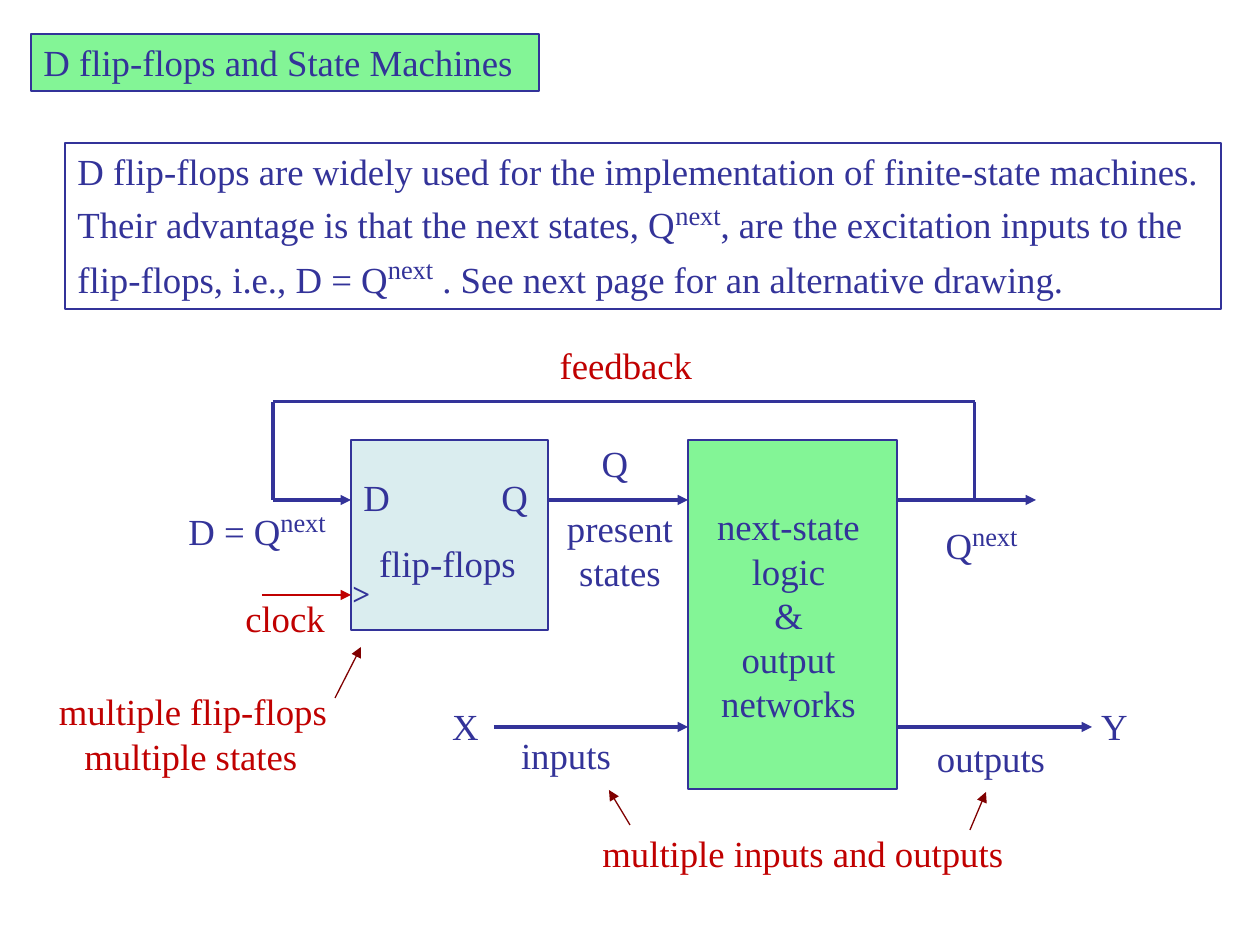
"""Builds the slide on D flip-flops and state machines."""
from lxml import etree
from pptx import Presentation
from pptx import util as u
from pptx.dml.color import RGBColor
from pptx.enum import shapes, text
from pptx.oxml.ns import qn

NAVY = RGBColor(0x33, 0x33, 0x99)
RED = RGBColor(0xC0, 0x00, 0x00)
MAROON = RGBColor(0x80, 0x00, 0x00)
GREEN = RGBColor(0x83, 0xF5, 0x96)
PALE_BLUE = RGBColor(0xDA, 0xED, 0xEF)
LEFT, CENTER = text.PP_ALIGN.LEFT, text.PP_ALIGN.CENTER


def px(value):
    return round(value * 914400 / 126)


class Diagram:
    font_name = "Times New Roman"
    size = u.Pt(21)
    superscript_size = u.Pt(26)
    thin, thick = u.Pt(0.75), u.Pt(1.75)

    def __init__(self, slide):
        self.slide = slide

    def box(self, left, top, width, height, fill=None):
        shape = self.slide.shapes.add_shape(
            shapes.MSO_SHAPE.RECTANGLE, px(left), px(top), px(width), px(height))
        shape.shadow.inherit = False
        if fill is None:
            shape.fill.background()
        else:
            shape.fill.solid()
            shape.fill.fore_color.rgb = fill
        shape.line.color.rgb = NAVY
        shape.line.width = self.thin
        return shape

    def label(self, wording, left, top, width, height, color=NAVY):
        shape = self.slide.shapes.add_textbox(px(left), px(top), px(width), px(height))
        self.fill_text(shape, wording, color)
        return shape

    def fill_text(self, shape, wording, color=NAVY, align=CENTER):
        frame = shape.text_frame
        frame.word_wrap = True
        frame.auto_size = text.MSO_AUTO_SIZE.SHAPE_TO_FIT_TEXT
        frame.vertical_anchor = text.MSO_ANCHOR.TOP
        for index, line in enumerate(wording.split("\n")):
            paragraph = frame.add_paragraph() if index else frame.paragraphs[0]
            paragraph.alignment = align
            for part, words in enumerate(line.split("^")):
                if not words:
                    continue
                run = paragraph.add_run()
                run.text = words
                if part % 2:
                    run.font.size = self.superscript_size
                    run._r.get_or_add_rPr().set("baseline", "30000")
            paragraph.font.name = self.font_name
            paragraph.font.size = self.size
            paragraph.font.color.rgb = color

    def tab_stop(self, paragraph, position):
        properties = paragraph._p.get_or_add_pPr()
        tabs = etree.Element(qn("a:tabLst"))
        etree.SubElement(tabs, qn("a:tab"), pos=str(px(position)), algn="l")
        properties.insert(0, tabs)

    def line(self, x1, y1, x2, y2, color=NAVY, width=thin, arrow=True):
        connector = self.slide.shapes.add_connector(
            shapes.MSO_CONNECTOR.STRAIGHT, px(x1), px(y1), px(x2), px(y2))
        connector.line.color.rgb = color
        connector.line.width = width
        properties = connector._element.spPr
        if arrow:
            etree.SubElement(properties.get_or_add_ln(), qn("a:tailEnd"), type="triangle")
        etree.SubElement(properties, qn("a:effectLst"))


def main():
    presentation = Presentation()
    presentation.slide_width, presentation.slide_height = px(1260), px(945)
    diagram = Diagram(presentation.slides.add_slide(presentation.slide_layouts[6]))

    introduction = diagram.box(65, 143, 1156, 166)
    diagram.fill_text(
        introduction,
        "D flip-flops are widely used for the implementation of finite-state machines. "
        "Their advantage is that the next states, Q^next^, are the excitation inputs to the "
        "flip-flops, i.e., D = Q^next^ . See next page for an alternative drawing.",
        align=LEFT)

    diagram.box(351, 440, 197, 190, PALE_BLUE)
    diagram.box(688, 440, 209, 349, GREEN)

    for x1, y, x2 in [(548, 500, 688), (273, 500, 351), (897, 500, 1036),
                      (494, 727, 688), (897, 727, 1092)]:
        diagram.line(x1, y, x2, y, width=diagram.thick)
    for ends in [(273, 402, 975, 402), (273, 402, 273, 500), (975, 402, 975, 500)]:
        diagram.line(*ends, width=diagram.thick, arrow=False)
    diagram.line(262, 595, 351, 595, RED)
    for ends in [(335, 698, 361, 647), (630, 825, 609, 790), (970, 830, 986, 792)]:
        diagram.line(*ends, MAROON)

    ports = diagram.label("D\tQ\nflip-flops", 351, 469, 193, 122)
    pins, name = ports.text_frame.paragraphs
    pins.alignment = LEFT
    diagram.tab_stop(pins, 138)
    name.space_before = u.Pt(12)

    for label in [
        ("Q^next^", 912, 508, 139, 68),
        ("Q", 581, 435, 68, 57),
        ("X", 431, 698, 69, 57),
        ("Y", 1083, 698, 63, 57),
        ("inputs", 499, 727, 134, 57),
        ("outputs", 924, 730, 134, 57),
        ("next-state\nlogic\n&\noutput\nnetworks", 698, 498, 181, 233),
        ("present\nstates", 553, 500, 134, 101),
        ("D = Q^next^", 157, 494, 200, 68),
        ("clock", 218, 590, 134, 57, RED),
        ("feedback", 543, 337, 166, 57, RED),
        ("multiple flip-flops", 25, 683, 336, 57, RED),
        ("multiple states", 51, 728, 280, 57, RED),
        ("multiple inputs and outputs", 574, 825, 458, 57, RED),
    ]:
        diagram.label(*label)

    clock_mark = diagram.label(">", 340, 568, 43, 50)
    clock_mark.text_frame.word_wrap = False
    mark = clock_mark.text_frame.paragraphs[0]
    mark.alignment = LEFT
    mark.font.size = u.Pt(18)
    mark.font.bold = True

    title = diagram.box(31, 34, 508, 57, GREEN)
    diagram.fill_text(title, "D flip-flops and State Machines", align=LEFT)

    presentation.save("out.pptx")


if __name__ == "__main__":
    main()
